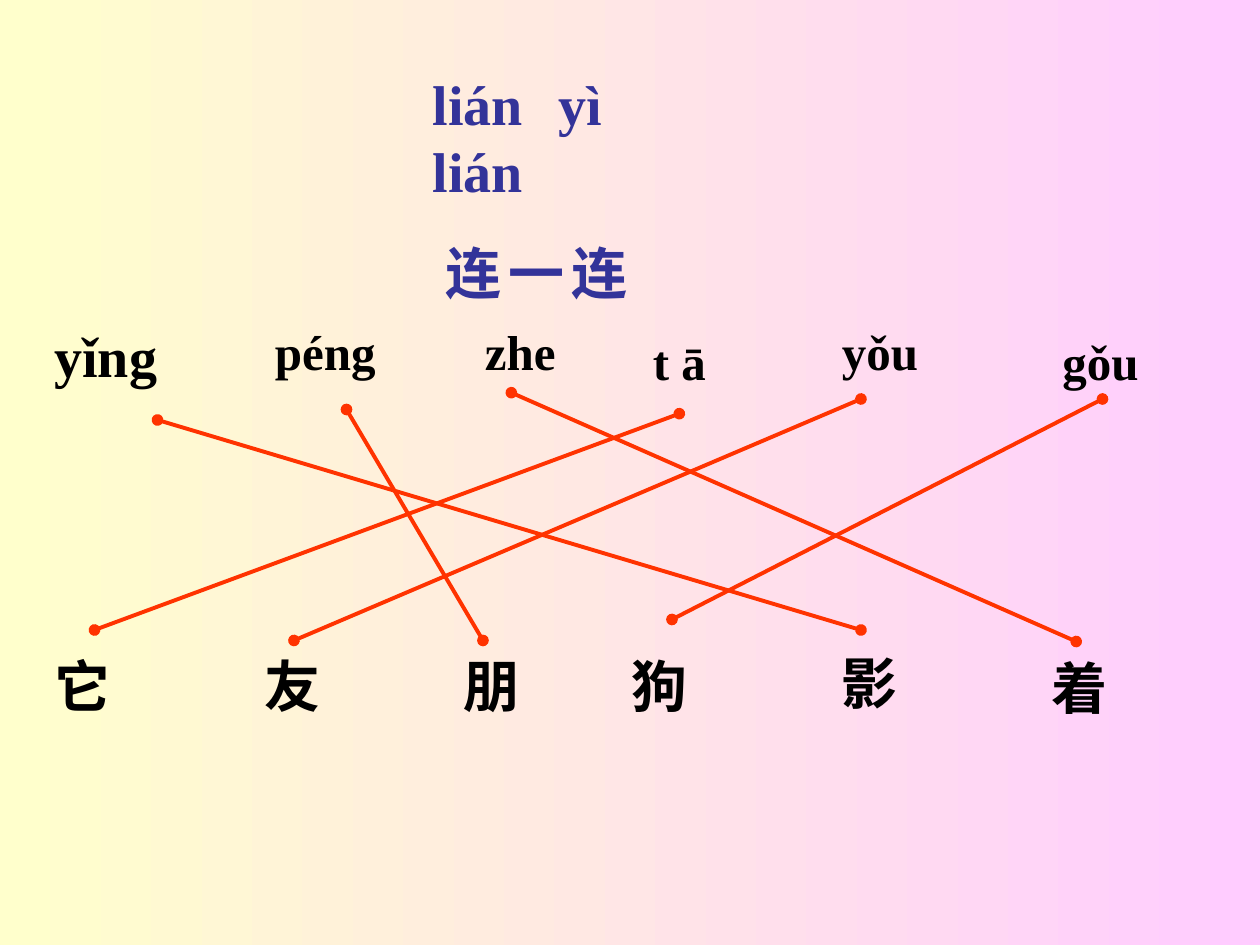
from lxml.etree import SubElement as Sub
from pptx import Presentation
from pptx.dml.color import RGBColor
from pptx.enum.shapes import MSO_CONNECTOR as Conn
from pptx.enum.text import MSO_ANCHOR as Anchor, PP_ALIGN as Align
from pptx.oxml.ns import qn
from pptx.util import Inches, Pt

FONT = "Times New Roman"
BLACK, BLUE, RED = "000000", "333399", "FF3300"
COLS = 120

TITLE = [
    ("lián\tyì\vlián", 0, [1.37]),
    ("连\t一\t连", 0.1, [1.07, 2.15]),
]
# text, column, row, width, height, size
PINYIN = [
    ("yǐng", 4, 30, 14, 7.7, 32),
    ("péng", 25, 30, 14, 15.4, 28),
    ("zhe", 45, 30, 11, 15.4, 28),
    ("t ā", 61, 31, 13, 15.4, 28),
    ("yǒu", 79, 30, 11, 15.4, 28),
    ("gǒu", 100, 31, 13, 15.4, 28),
]
HANZI = [
    ("它", 4, 52, 13, 17, 32),
    ("友", 24, 52, 11, 17, 32),
    ("朋", 43, 52, 14, 17, 32),
    ("狗", 59, 52, 13, 17, 32),
    ("影", 79, 51, 14, 17.8, 32),
    ("着", 99, 52.2, 11, 17, 32),
]
LINKS = [
    ((9, 60), (64.7, 39.4)),
    ((28, 61), (82, 38)),
    ((46, 61), (33, 39)),
    ((64, 59), (105, 38)),
    ((15, 40), (82, 60)),
    ((48.7, 37.4), (102.5, 61.1)),
]

deck = Presentation()
deck.slide_width, deck.slide_height = Inches(10), Inches(7.5)
slide = deck.slides.add_slide(deck.slide_layouts[5])


def grid(*cells):
    return [round(cell * deck.slide_width / COLS) for cell in cells]


def color(code):
    return RGBColor.from_string(code)


def style(para, size, code):
    para.alignment = Align.LEFT
    font = para.font
    font.name, font.size, font.bold = FONT, Pt(size), True
    font.color.rgb = color(code)


def set_tabs(para, indent, stops):
    props = para._p.get_or_add_pPr()
    props.set("marL", str(Inches(indent)))
    props.set("indent", "0")
    tabs = Sub(props, qn("a:tabLst"))
    for stop in stops:
        Sub(tabs, qn("a:tab"), pos=str(Inches(stop)), algn="l")


def add_word(word, col, row, wide, high, size, anchor):
    frame = slide.shapes.add_textbox(*grid(col, row, wide, high)).text_frame
    frame.word_wrap = True
    frame.vertical_anchor = anchor
    frame.text = word
    style(frame.paragraphs[0], size, BLACK)


def add_link(start, end):
    link = slide.shapes.add_connector(Conn.STRAIGHT, *grid(*start, *end))
    link.line.color.rgb = color(RED)
    link.line.width = Pt(2.25)
    props = link._element.spPr
    for tag in ("a:headEnd", "a:tailEnd"):
        Sub(props.find(qn("a:ln")), qn(tag), type="oval")
    Sub(props, qn("a:effectLst"))


fill = slide.background.fill
fill.gradient()
fill.gradient_angle = 180
for stop, code in zip(fill.gradient_stops, ("FFCCFF", "FFFFCC")):
    stop.color.rgb = color(code)

for words, anchor in ((PINYIN, Anchor.TOP), (HANZI, Anchor.BOTTOM)):
    for word in words:
        add_word(*word, anchor)

title = slide.shapes.title
title.left, title.top, title.width, title.height = grid(40, 6, 40, 23.8)
frame = title.text_frame
frame.word_wrap = True
frame.vertical_anchor = Anchor.TOP
frame.text = "\n".join(text for text, _, _ in TITLE)
for para, (_, indent, stops) in zip(frame.paragraphs, TITLE):
    set_tabs(para, indent, stops)
    style(para, 32, BLUE)
frame.paragraphs[1].space_before = Pt(20)

for start, end in LINKS:
    add_link(start, end)

deck.save("out.pptx")
